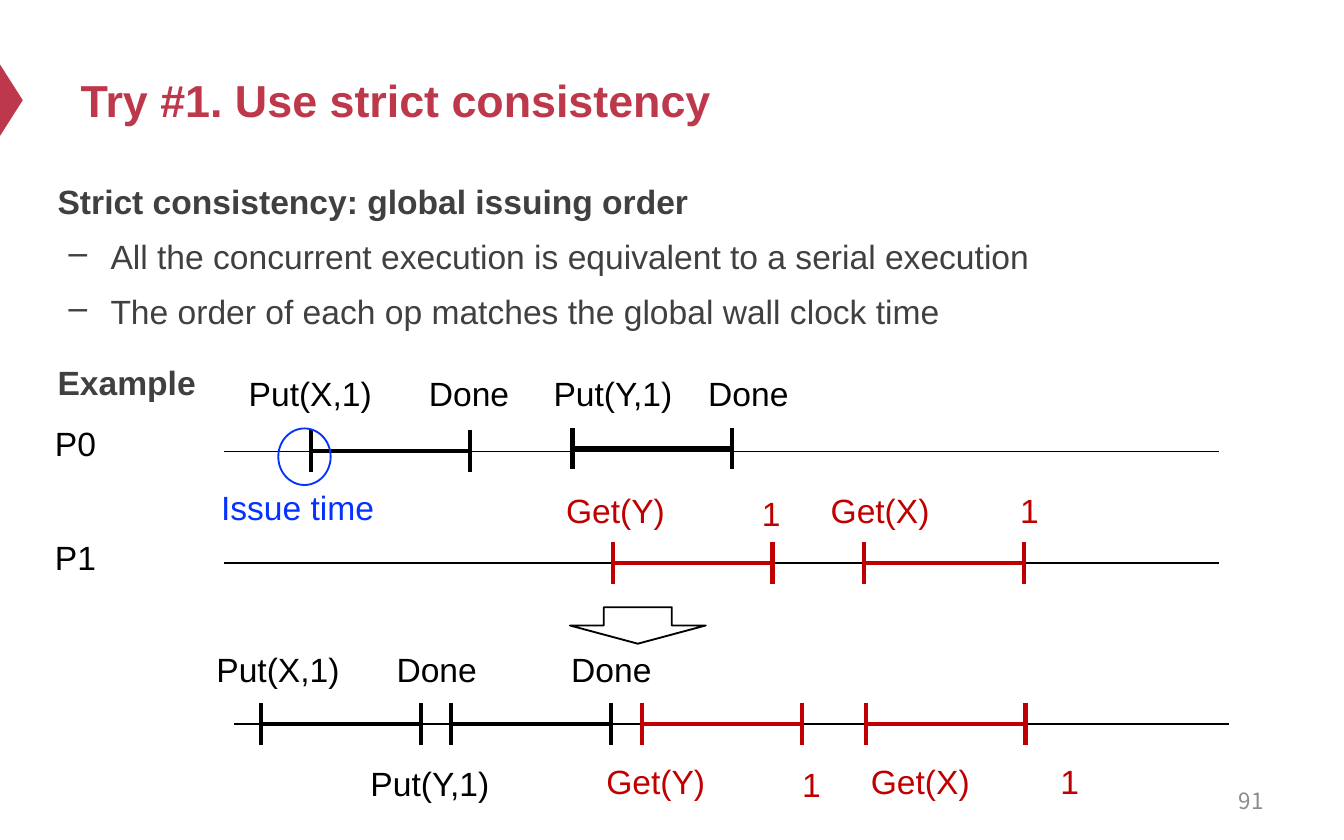
"""Build a slide that explains strict consistency with process timelines."""
import dataclasses

import lxml.etree
import pptx
import pptx.dml.color
import pptx.enum.shapes
import pptx.enum.text
import pptx.oxml.ns
import pptx.util

Cm = pptx.util.Cm
Pt = pptx.util.Pt
SHAPE = pptx.enum.shapes.MSO_SHAPE
ALIGN = pptx.enum.text.PP_ALIGN
ANCHOR = pptx.enum.text.MSO_ANCHOR
AUTO_SIZE = pptx.enum.text.MSO_AUTO_SIZE


@dataclasses.dataclass(frozen=True)
class Theme:
    """Colours, fonts and sizes of the slide."""
    accent: str = "BE384B"
    body: str = "404040"
    put: str = "000000"
    get: str = "C00000"
    issue: str = "0432FF"
    muted: str = "8C8C8C"
    font: str = "Arial"
    number_font: str = "Noto Sans CJK SC"
    title_size: float = 24
    text_size: float = 18
    number_size: float = 12
    thin: float = 0.75
    outline: float = 1
    thick: float = 2.25


THEME = Theme()
LABEL_WIDTH = 3.25
INTERVAL_WIDTH = 3.02
TICK_HEIGHT = 0.79
TIMELINE_WIDTH = 18.8
P0_Y, P1_Y, SERIAL_Y = 8.53, 10.64, 13.69
GET_LABELS = (("Get(Y)", 10.01, 9.14), ("1", 12.95, 9.19),
              ("Get(X)", 15.01, 9.14), ("1", 17.83, 9.14))
PUT_LABELS = (("Put(X,1)", 4.24, 6.93), ("Done", 7.24, 6.93),
              ("Put(Y,1)", 9.96, 6.93), ("Done", 12.52, 6.93))
SERIAL_PUT_LABELS = (("Put(X,1)", 3.63, 12.14), ("Done", 6.63, 12.14),
                     ("Put(Y,1)", 6.5, 14.3), ("Done", 9.93, 12.14))
INTERVALS = (
    (5.87, P0_Y, THEME.put), (10.82, P0_Y - 0.05, THEME.put),
    (11.58, P1_Y, THEME.get), (16.33, P1_Y, THEME.get),
    (4.93, SERIAL_Y, THEME.put), (8.53, SERIAL_Y, THEME.put),
    (12.14, SERIAL_Y, THEME.get), (16.36, SERIAL_Y, THEME.get))
BODY = (("Strict consistency: global issuing order", False),
        ("All the concurrent execution is equivalent to a serial execution", True),
        ("The order of each op matches the global wall clock time", True),
        ("Example", False))


def rgb(color):
    """Turn a hex string into a colour."""
    return pptx.dml.color.RGBColor.from_string(color)


def style_text(paragraph, color, size=THEME.text_size, bold=False, font=THEME.font):
    """Format every run of a paragraph."""
    for span in paragraph.runs:
        span.font.name = font
        span.font.size = Pt(size)
        span.font.bold = bold
        span.font.color.rgb = rgb(color)


def add_title(page, text):
    """Fill and place the title placeholder."""
    title = page.shapes.title
    title.left, title.top, title.width, title.height = Cm(1.27), Cm(0.64), Cm(22.86), Cm(2.49)
    frame = title.text_frame
    frame.text = text
    frame.auto_size = AUTO_SIZE.NONE
    frame.vertical_anchor = ANCHOR.MIDDLE
    frame.paragraphs[0].alignment = ALIGN.LEFT
    style_text(frame.paragraphs[0], THEME.accent, THEME.title_size, True)


def add_dash(paragraph):
    """Give a paragraph a hanging dash bullet."""
    properties = paragraph._p.get_or_add_pPr()
    properties.set("marL", str(Cm(1)))
    properties.set("indent", str(-Cm(0.79)))
    bullet = lxml.etree.SubElement(properties, pptx.oxml.ns.qn("a:buChar"))
    bullet.set("char", "–")


def add_body(page):
    """Add the headings and their dashed points."""
    frame = page.shapes.add_textbox(Cm(0.84), Cm(3.15), Cm(22.86), Cm(5.59)).text_frame
    frame.word_wrap = True
    for index, (text, dashed) in enumerate(BODY):
        paragraph = frame.add_paragraph() if index else frame.paragraphs[0]
        paragraph.text = text
        paragraph.line_spacing = 1.2
        if index:
            paragraph.space_before = Pt(3.6 if dashed else 12)
        if dashed:
            paragraph.level = 1
            add_dash(paragraph)
        style_text(paragraph, THEME.body, bold=not dashed)


def add_label(page, text, left, top, color, width=LABEL_WIDTH, align=ALIGN.CENTER):
    """Add a one-line label."""
    box = page.shapes.add_textbox(Cm(left), Cm(top), Cm(width), Cm(1.02))
    frame = box.text_frame
    frame.text = text
    frame.word_wrap = True
    frame.auto_size = AUTO_SIZE.SHAPE_TO_FIT_TEXT
    frame.paragraphs[0].alignment = align
    style_text(frame.paragraphs[0], color)


def add_labels(page, labels, color, right=0, down=0):
    """Add a set of labels, moved right and down."""
    for text, left, top in labels:
        add_label(page, text, left + right, top + down, color)


def add_line(shapes, start, end, color, weight):
    """Add a straight line without a shadow."""
    line = shapes.add_connector(pptx.enum.shapes.MSO_CONNECTOR.STRAIGHT,
                                Cm(start[0]), Cm(start[1]), Cm(end[0]), Cm(end[1]))
    line.line.color.rgb = rgb(color)
    line.line.width = Pt(weight)
    lxml.etree.SubElement(line._element.spPr, pptx.oxml.ns.qn("a:effectLst"))


def add_interval(page, left, middle, color):
    """Add a grouped operation bar with a tick at each end."""
    shapes = page.shapes.add_group_shape().shapes
    right = left + INTERVAL_WIDTH
    for tick in (left, right):
        add_line(shapes, (tick, middle - TICK_HEIGHT / 2),
                 (tick, middle + TICK_HEIGHT / 2), color, THEME.thick)
    add_line(shapes, (left, middle), (right, middle), color, THEME.thick)


def add_figure(page, kind, left, top, width, height, fill=None, line=None):
    """Add a preset shape with either a fill or an outline."""
    figure = page.shapes.add_shape(kind, Cm(left), Cm(top), Cm(width), Cm(height))
    figure.shadow.inherit = False
    if fill:
        figure.fill.solid()
        figure.fill.fore_color.rgb = rgb(fill)
    else:
        figure.fill.background()
    if line:
        figure.line.color.rgb = rgb(line)
        figure.line.width = Pt(THEME.outline)
    else:
        figure.line.fill.background()
    return figure


def add_page_number(page, text):
    """Add the page number at the bottom right."""
    frame = page.shapes.add_textbox(Cm(18.21), Cm(14.71), Cm(5.92), Cm(0.84)).text_frame
    frame.text = text
    frame.word_wrap = True
    frame.vertical_anchor = ANCHOR.MIDDLE
    frame.paragraphs[0].alignment = ALIGN.RIGHT
    style_text(frame.paragraphs[0], THEME.muted, THEME.number_size, font=THEME.number_font)


def main():
    """Build and save the deck."""
    deck = pptx.Presentation()
    deck.slide_width, deck.slide_height = Cm(25.4), Cm(15.88)
    page = deck.slides.add_slide(deck.slide_layouts.get_by_name("Title Only"))
    add_figure(page, SHAPE.ISOSCELES_TRIANGLE, -0.46, 1.68, 1.35, 0.43,
               fill=THEME.accent).rotation = 90
    add_title(page, "Try #1. Use strict consistency")
    add_body(page)
    add_page_number(page, "91")
    for left, middle in ((4.24, P0_Y), (4.24, P1_Y), (4.42, SERIAL_Y)):
        add_line(page.shapes, (left, middle), (left + TIMELINE_WIDTH, middle),
                 THEME.put, THEME.thin)
    for text, top in (("P0", 7.87), ("P1", 10.03)):
        add_label(page, text, 0.79, top, THEME.put, 1.8, ALIGN.LEFT)
    for left, middle, color in INTERVALS:
        add_interval(page, left, middle, color)
    add_labels(page, PUT_LABELS, THEME.put)
    add_labels(page, GET_LABELS, THEME.get)
    add_labels(page, SERIAL_PUT_LABELS, THEME.put)
    add_labels(page, GET_LABELS, THEME.get, right=0.76, down=5.13)
    add_figure(page, SHAPE.OVAL, 5.26, 8.1, 0.99, 1.07, line=THEME.issue)
    add_label(page, "Issue time", 3.3, 9.09, THEME.issue, 4.65)
    add_figure(page, SHAPE.DOWN_ARROW, 10.77, 11.48, 2.57, 0.69, line=THEME.put)
    deck.save("out.pptx")


if __name__ == "__main__":
    main()
